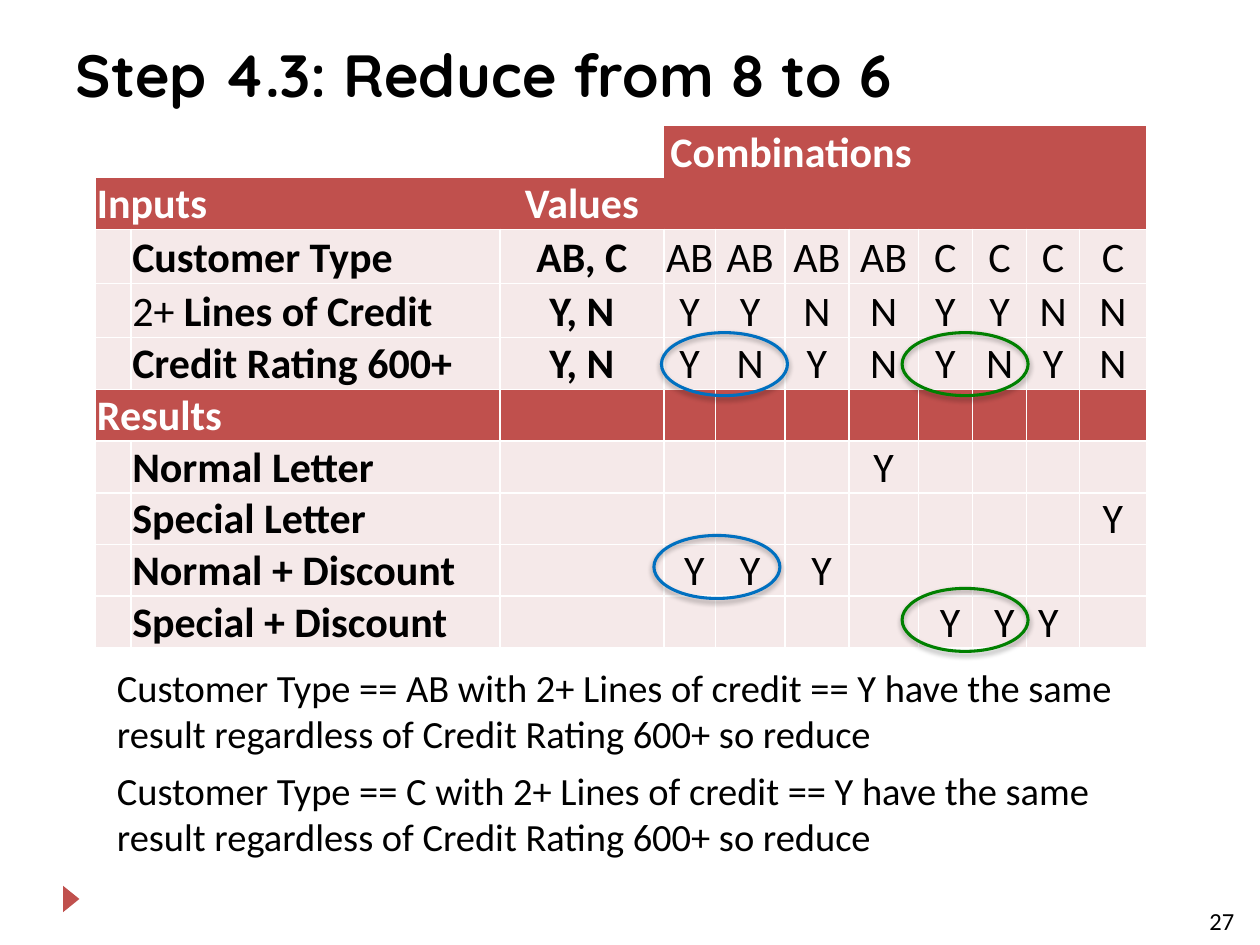
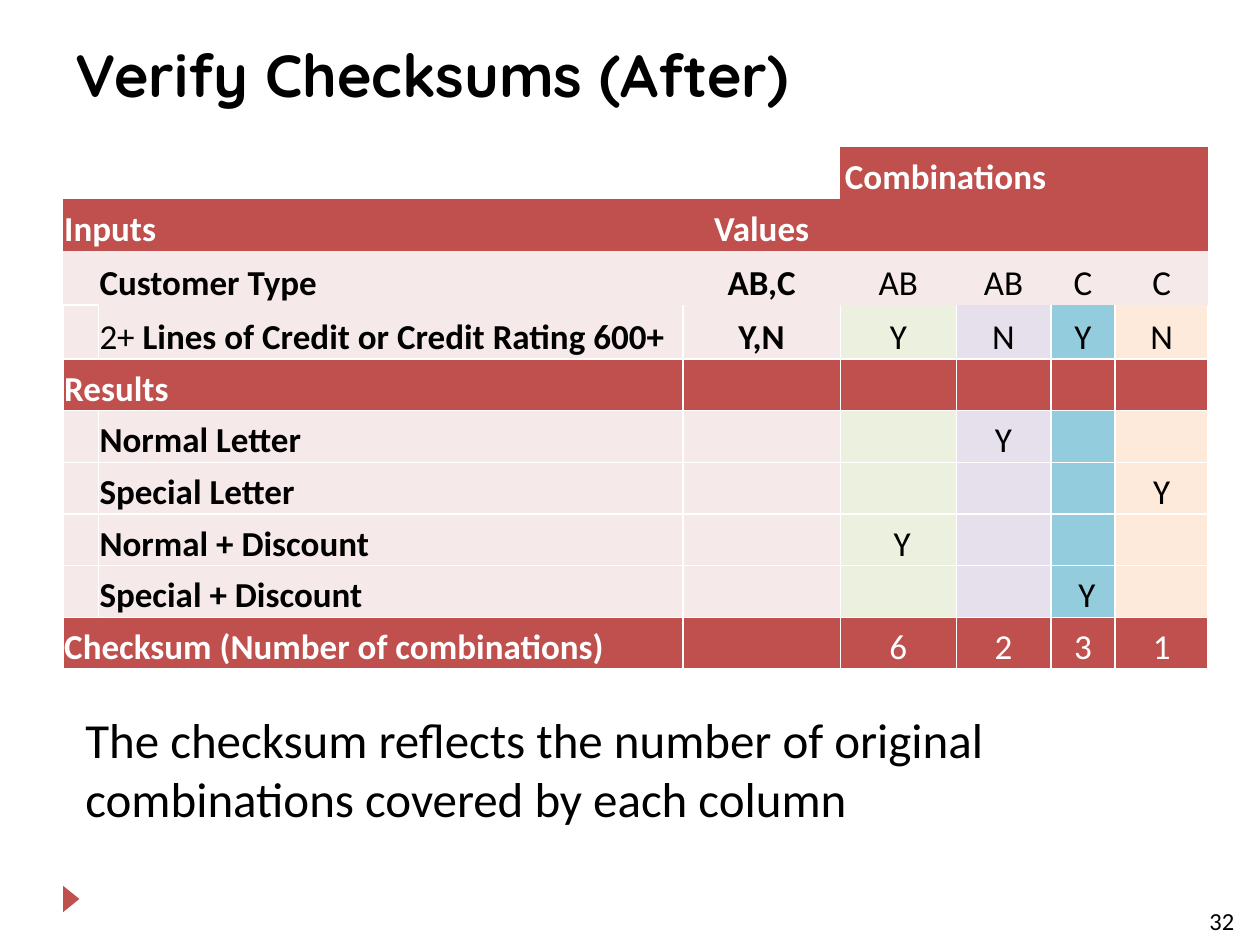
from collections import namedtuple
from lxml import etree
from pptx import Presentation, util as u
from pptx.dml.color import RGBColor
from pptx.enum import shapes, text
from pptx.oxml import ns

GRID_COLUMNS = 100
UNIT = u.Inches(10) // GRID_COLUMNS
RED, PINK, WHITE, BLACK = "C0504D", "F5E9E9", "FFFFFF", "000000"
BLUE, GREEN = "0070C0", "008000"
TINTS = ["EBF1DE", "E6E0EC", "93CDDD", "FDEADA"]
ALL_SIDES = "LRTB"

Row = namedtuple("Row", "label domain marks heading sides tinted",
                 defaults=("", "", False, ALL_SIDES, True))


def color(value):
    return RGBColor.from_string(value)


def grid(*lengths):
    return [round(length * UNIT) for length in lengths]


def child(parent, tag, **attributes):
    return etree.SubElement(parent, ns.qn(tag), {key: str(value) for key, value in attributes.items()})


def write(frame, paragraphs, size, font="Calibri", ink=BLACK, bold=False,
          align=text.PP_ALIGN.LEFT, after=0):
    for index, runs in enumerate(paragraphs):
        paragraph = frame.add_paragraph() if index else frame.paragraphs[0]
        paragraph.alignment = align
        paragraph.space_after = u.Pt(after)
        for words, heavy in [(runs, bold)] if isinstance(runs, str) else runs:
            run = paragraph.add_run()
            run.text = words
            run.font.name, run.font.size, run.font.bold = font, u.Pt(size), heavy
            run.font.color.rgb = color(ink)


def add_note(slide, place, paragraphs, size, **style):
    frame = slide.shapes.add_textbox(*grid(*place)).text_frame
    frame.word_wrap = True
    write(frame, paragraphs, size, **style)


def add_base_slide(presentation, title, number):
    slide = presentation.slides.add_slide(presentation.slide_layouts[5])
    heading = slide.shapes.title
    heading.left, heading.top, heading.width, heading.height = grid(5, 2.5, 90, 10)
    frame = heading.text_frame
    frame.vertical_anchor = text.MSO_ANCHOR.TOP
    frame.auto_size = text.MSO_AUTO_SIZE.NONE
    write(frame, [title], 34, font="Quicksand", bold=True)
    marker = slide.shapes.add_shape(shapes.MSO_SHAPE.ISOSCELES_TRIANGLE, *grid(4.6, 70.7, 2.1, 1.3))
    marker.rotation = 90
    marker.shadow.inherit = False
    marker.fill.solid()
    marker.fill.fore_color.rgb = color(RED)
    marker.line.fill.background()
    add_note(slide, (95, 71.4, 4.5, 2.5), [str(number)], 14)
    return slide


def add_ring(slide, left, top, ink):
    ring = slide.shapes.add_shape(shapes.MSO_SHAPE.OVAL, *grid(left, top, 10, 5))
    ring.fill.background()
    ring.line.color.rgb = color(ink)
    ring.line.width = u.Pt(1.75)
    ring.shadow.inherit = False
    effects = ring.element.spPr.find(ns.qn("a:effectLst"))
    shadow = child(effects, "a:outerShdw", blurRad=u.Pt(3.1), dist=u.Pt(1.8), dir=90 * 60000, rotWithShape=0)
    child(child(shadow, "a:srgbClr", val=BLACK), "a:alpha", val=35000)


def format_cell(cell, fill, sides):
    cell.margin_left = cell.margin_right = cell.margin_top = u.Inches(0.01)
    cell.margin_bottom = 0
    cell.vertical_anchor = text.MSO_ANCHOR.BOTTOM
    properties = cell._tc.get_or_add_tcPr()
    for side in ALL_SIDES:
        line = child(properties, f"a:ln{side}", w=u.Pt(1))
        if side in sides:
            child(child(line, "a:solidFill"), "a:srgbClr", val=WHITE)
        else:
            child(line, "a:noFill")
    if fill:
        cell.fill.solid()
        cell.fill.fore_color.rgb = color(fill)
    else:
        cell.fill.background()


def add_decision_table(slide, left, top, widths, rows, label_columns, title_span, size, tints):
    heights = [4.3 if index in (2, 3) else 4.1 for index in range(len(rows) + 1)]
    frame = slide.shapes.add_table(len(heights), len(widths),
                                   *grid(left, top, sum(widths), sum(heights)))
    table = frame.table
    table.first_row = table.horz_banding = False
    for column, width in zip(table.columns, grid(*widths)):
        column.width = width
    for table_row, height in zip(table.rows, grid(*heights)):
        table_row.height = height
    first_mark = label_columns + 1
    center = text.PP_ALIGN.CENTER

    for column in range(len(widths)):
        format_cell(table.cell(0, column), RED if column >= first_mark else None, "")
    title = table.cell(0, first_mark)
    title.merge(table.cell(0, first_mark + title_span - 1))
    write(title.text_frame, ["Combinations"], size, ink=WHITE, bold=True, align=center)

    for index, row in enumerate(rows, 1):
        ink = WHITE if row.heading else BLACK
        for column in range(len(widths)):
            fill = RED if row.heading else PINK
            if column >= first_mark and row.tinted and tints and not row.heading:
                fill = tints[column - first_mark]
            sides = ALL_SIDES if column == 0 and "L" in row.sides else row.sides
            format_cell(table.cell(index, column), fill, sides)
        label = table.cell(index, 0 if row.heading else 1)
        last_label = table.cell(index, label_columns - 1)
        if row.heading or label_columns > 2:
            label.merge(last_label)
        write(label.text_frame, [row.label], size, ink=ink, bold=True)
        if row.domain:
            write(table.cell(index, label_columns).text_frame, [row.domain], size,
                  ink=ink, bold=True, align=center)
        for column, mark in enumerate(row.marks.split("|"), first_mark):
            if mark:
                write(table.cell(index, column).text_frame, [mark], size, ink=ink, align=center)


def add_reduce_slide(presentation):
    slide = add_base_slide(presentation, "Step 4.3: Reduce from 8 to 6", 27)
    rows = [
        Row("Inputs", "Values", heading=True, sides="B"),
        Row("Customer Type", "AB, C", "AB|AB|AB|AB|C|C|C|C"),
        Row([("2+ ", False), ("Lines of Credit", True)], "Y, N", "Y|Y|N|N|Y|Y|N|N"),
        Row("Credit Rating 600+", "Y, N", "Y|N|Y|N|Y|N|Y|N"),
        Row("Results", heading=True),
        Row("Normal Letter", marks="|||Y"),
        Row("Special Letter", marks="|||||||Y"),
        Row("Normal + Discount", marks=" Y|Y| Y"),
        Row("Special + Discount", marks="|||| Y| Y|Y "),
    ]
    widths = [2.8, 28.7, 0.5, 13, 4.1, 5.5, 5.1, 5.5, 4.3, 4.3, 4.2, 5.3]
    add_decision_table(slide, 7.6, 10, widths, rows, label_columns=3, title_span=4, size=24, tints=None)
    for left, top, ink in [(52.5, 26.4, BLUE), (51.9, 42.5, BLUE),
                           (71.6, 26.4, GREEN), (71.6, 46.7, GREEN)]:
        add_ring(slide, left, top, ink)
    reasons = [f"Customer Type == {kind} with 2+ Lines of credit == Y have the same "
               "result regardless of Credit Rating 600+ so reduce" for kind in ("AB", "C")]
    add_note(slide, (8.3, 52.2, 84.8, 16.7), reasons, 22, after=6)


def add_checksum_slide(presentation):
    slide = add_base_slide(presentation, "Verify Checksums (After)", 32)
    rows = [
        Row("Inputs", "Values", heading=True, sides=""),
        Row("Customer Type", "AB,C", "AB|AB|C|C", sides="", tinted=False),
        Row([("2+ ", False), ("Lines of Credit or Credit Rating 600+", True)],
            "Y,N", "Y|N|Y|N", sides="LRB"),
        Row("Results", heading=True),
        Row("Normal Letter", marks="|Y"),
        Row("Special Letter", marks="|||Y"),
        Row("Normal + Discount", marks=" Y"),
        Row("Special + Discount", marks="|| Y"),
        Row("Checksum (Number of combinations)", marks="6|2|3|1", heading=True),
    ]
    widths = [2.8, 46.4, 12.5, 9.2, 7.5, 5.1, 7.4]
    add_decision_table(slide, 5, 11.7, widths, rows, label_columns=2, title_span=2, size=20, tints=TINTS)
    add_note(slide, (5.8, 55.8, 90, 10.4),
             ["The checksum reflects the number of original combinations covered by each column"], 28)


def main():
    presentation = Presentation()
    presentation.slide_width, presentation.slide_height = grid(GRID_COLUMNS, 75)
    add_reduce_slide(presentation)
    add_checksum_slide(presentation)
    presentation.save("out.pptx")


if __name__ == "__main__":
    main()
